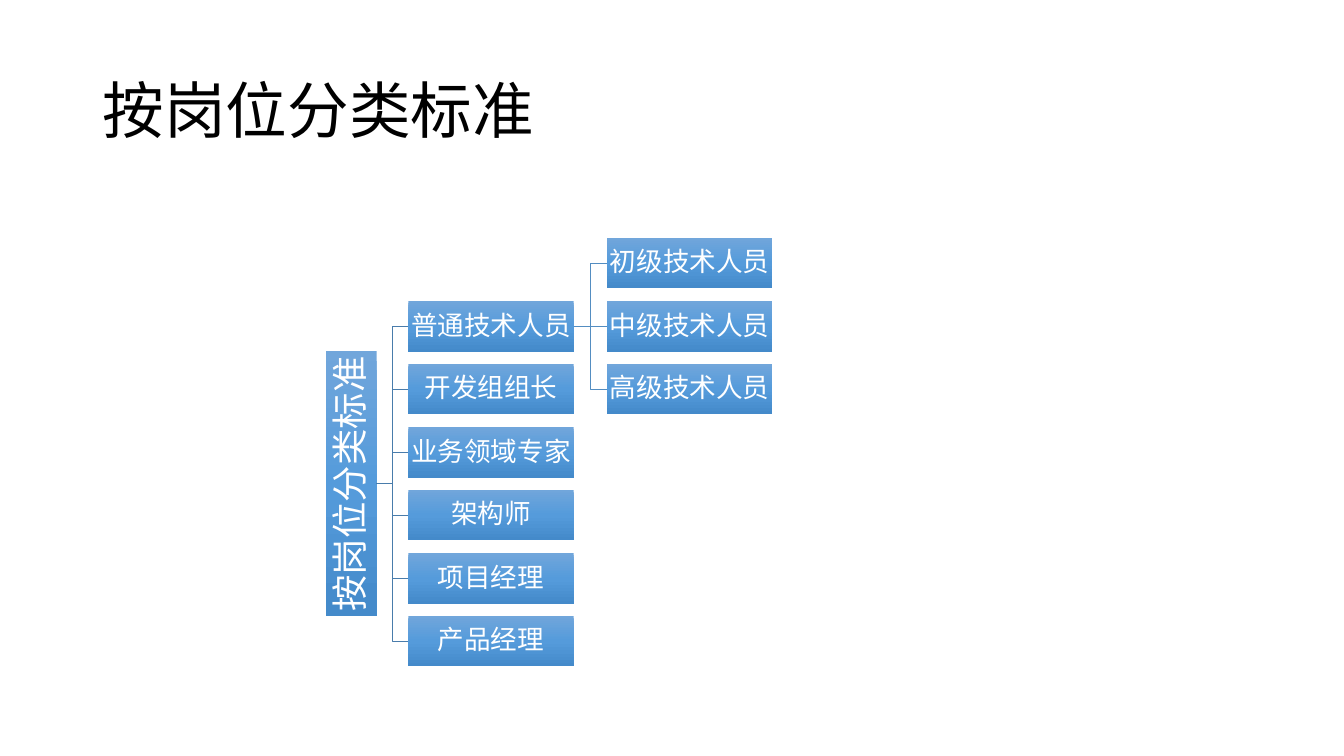
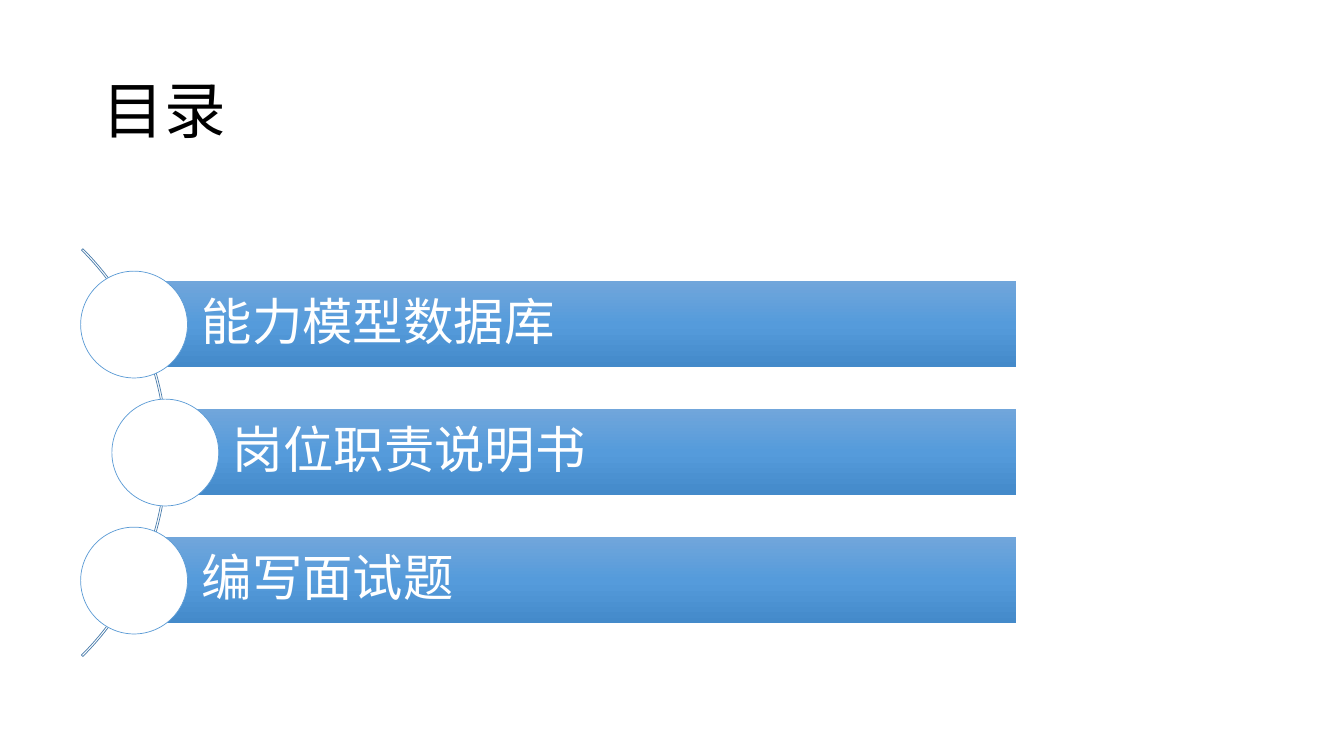
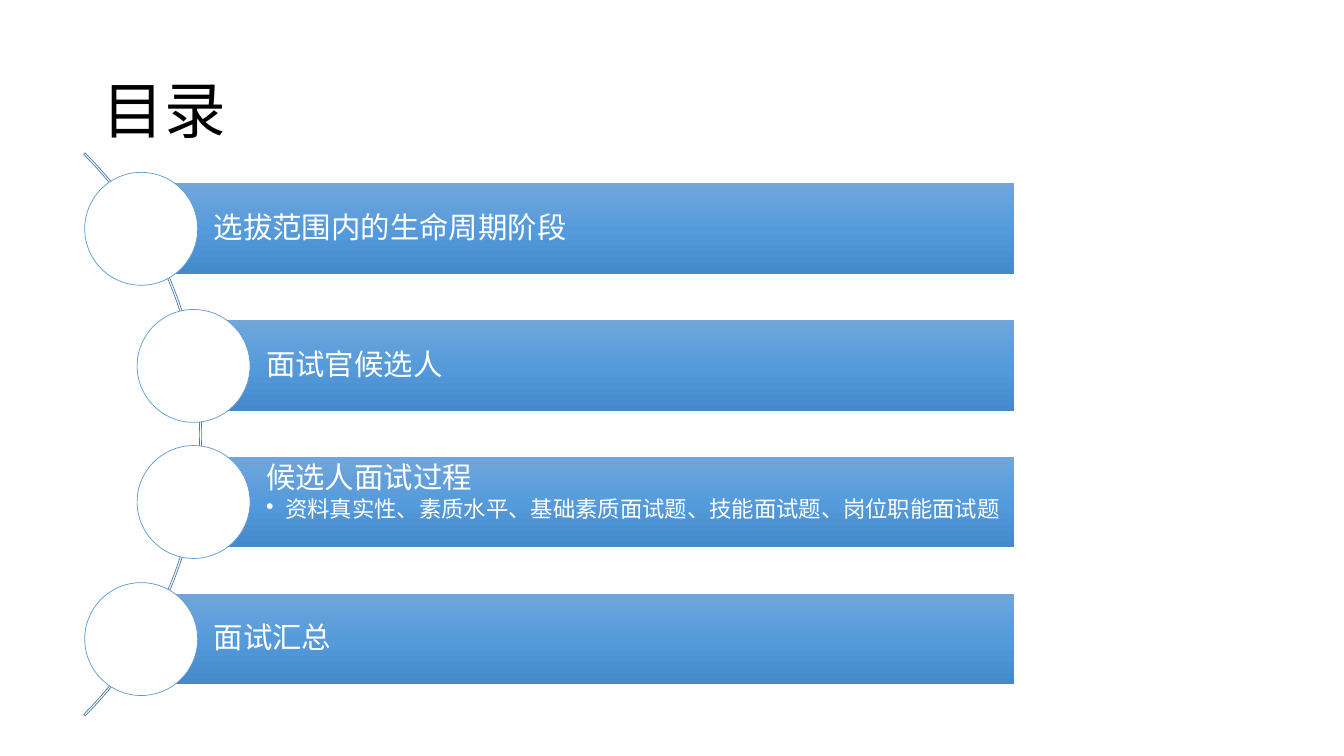
from copy import deepcopy
from dataclasses import dataclass
from typing import Any

from lxml.etree import SubElement
from pptx import Presentation
from pptx.dml.color import RGBColor
from pptx.enum.shapes import MSO_CONNECTOR as Link, MSO_SHAPE as Preset
from pptx.enum.text import MSO_ANCHOR as Anchor, PP_ALIGN as Align
from pptx.oxml.ns import qn
from pptx.util import Emu, Pt

PX = 9144
FONT = "Noto Sans CJK SC"
BLACK = "000000"
WHITE = "FFFFFF"
RING = "5B9BD5"
TRUNK = "497CAB"
BRANCH = "538DC1"
GRADIENT = [(0, "71A6DB"), (0.5, "559BDB"), (1, "448ACA")]
SIDES = ("left", "top", "right", "bottom")
ARC_START, ARC_END, ARC_DEPTH = 315, 45, 2

NODE_WIDTH, NODE_HEIGHT = 164, 50
ROOT_LEFT, ROOT_WIDTH, ROOT_MIDDLE = 323, 263, 480
ROLE_LEFT, GRADE_LEFT = 405, 602
ROLES = ["普通技术人员", "开发组组长", "业务领域专家", "架构师", "项目经理", "产品经理"]
GRADES = ["初级技术人员", "中级技术人员", "高级技术人员"]


@dataclass(frozen=True)
class Box:
    left: int
    top: int
    width: int
    height: int


@dataclass(frozen=True)
class Line:
    text: str
    size: int
    color: str = WHITE
    align: Any = Align.LEFT
    bullet: bool = False


@dataclass(frozen=True)
class Item:
    left: int
    text: str
    detail: str = ""


@dataclass(frozen=True)
class Agenda:
    arc: Box
    first: int
    last: int
    right: int
    height: int
    size: int
    insets: tuple[int, int, int, int]
    items: list[Item]


def px(length: float) -> Emu:
    return Emu(round(length * PX))


def color(code: str) -> RGBColor:
    return RGBColor.from_string(code)


def apply(target: Any, values: dict[str, Any]) -> None:
    for name, value in values.items():
        setattr(target, name, value)


def place(box: Box) -> list[Emu]:
    return [px(side) for side in (box.left, box.top, box.width, box.height)]


def write(shape: Any, lines: list[Line], insets: tuple[int, int, int, int],
          anchor: Any = Anchor.MIDDLE) -> None:
    frame = shape.text_frame
    apply(frame, {"word_wrap": True, "vertical_anchor": anchor})
    apply(frame, {f"margin_{side}": px(inset) for side, inset in zip(SIDES, insets)})
    for index, line in enumerate(lines):
        para = frame.add_paragraph() if index else frame.paragraphs[0]
        if line.bullet:
            para.level = 1
            settings = para._p.get_or_add_pPr()
            settings.set("marL", str(px(19)))
            settings.set("indent", str(px(-19)))
            SubElement(settings, qn("a:buChar")).set("char", "•")
        apply(para, {"alignment": line.align, "line_spacing": 0.9})
        if index < len(lines) - 1:
            para.space_after = Pt(3)
        span = para.add_run()
        span.text = line.text
        apply(span.font, {"name": FONT, "size": Pt(line.size)})
        span.font.color.rgb = color(line.color)
        SubElement(span._r.get_or_add_rPr(), qn("a:ea")).set("typeface", FONT)


def add_page(deck: Any, title: str) -> Any:
    page = deck.slides.add_slide(deck.slide_layouts[6])
    heading = page.shapes.add_textbox(*place(Box(92, 40, 1150, 145)))
    write(heading, [Line(title, 44, BLACK)], (10, 5, 10, 5))
    return page


def add_bar(page: Any, box: Box) -> Any:
    bar = page.shapes.add_shape(Preset.RECTANGLE, *place(box))
    bar.shadow.inherit = False
    bar.line.fill.background()
    bar.fill.gradient()
    bar.fill.gradient_angle = 270
    gradient = bar.element.spPr.find(qn("a:gradFill"))
    gradient.set("rotWithShape", "0")
    stops = gradient.find(qn("a:gsLst"))
    stops.append(deepcopy(stops[0]))
    for stop, (position, code) in zip(bar.fill.gradient_stops, GRADIENT):
        stop.position = position
        stop.color.rgb = color(code)
    return bar


def add_outline(page: Any, preset: Any, box: Box, stroke: str) -> Any:
    shape = page.shapes.add_shape(preset, *place(box))
    shape.shadow.inherit = False
    shape.line.color.rgb = color(stroke)
    shape.line.width = Pt(0.5)
    return shape


def add_node(page: Any, box: Box, text: str, size: int, inset: int) -> Any:
    node = add_bar(page, box)
    write(node, [Line(text, size, align=Align.CENTER)], (inset,) * 4)
    return node


def add_link(page: Any, start: tuple[int, int], end: tuple[int, int], stroke: str) -> Any:
    kind = Link.STRAIGHT if start[1] == end[1] else Link.ELBOW
    link = page.shapes.add_connector(kind, *[px(value) for value in start + end])
    link.line.color.rgb = color(stroke)
    link.line.width = Pt(0.5)
    SubElement(link.element.spPr, qn("a:effectLst"))
    return link


def row_top(row: int) -> int:
    return (473 + 125 * row) // 2


def add_column(page: Any, left: int, first_row: int, labels: list[str],
               start: tuple[int, int], stroke: str) -> tuple[list[Any], list[Any]]:
    nodes, links = [], []
    for row, label in enumerate(labels, first_row):
        top = row_top(row)
        links.append(add_link(page, start, (left, top + NODE_HEIGHT // 2), stroke))
        nodes.append(add_node(page, Box(left, top, NODE_WIDTH, NODE_HEIGHT), label, 19, 1))
    return nodes, links


def add_tree(deck: Any) -> None:
    page = add_page(deck, "按岗位分类标准")
    root_center = ROOT_LEFT + NODE_HEIGHT // 2
    root_box = Box(root_center - ROOT_WIDTH // 2, ROOT_MIDDLE - NODE_HEIGHT // 2,
                   ROOT_WIDTH, NODE_HEIGHT)
    root = add_node(page, root_box, "按岗位分类标准", 26, 2)
    root.rotation = 270
    roles, _ = add_column(page, ROLE_LEFT, 1, ROLES,
                          (ROOT_LEFT + NODE_HEIGHT, ROOT_MIDDLE), TRUNK)
    fork = (ROLE_LEFT + NODE_WIDTH, row_top(1) + NODE_HEIGHT // 2)
    grades, links = add_column(page, GRADE_LEFT, 0, GRADES, fork, BRANCH)
    links[1].begin_connect(roles[0], 3)
    links[1].end_connect(grades[1], 1)


def add_agenda(deck: Any, agenda: Agenda) -> None:
    page = add_page(deck, "目录")
    arc = add_outline(page, Preset.BLOCK_ARC, agenda.arc, TRUNK)
    arc.fill.background()
    adjustments = (ARC_START * 0.6, ARC_END * 0.6, ARC_DEPTH / agenda.arc.width)
    for index, value in enumerate(adjustments):
        arc.adjustments[index] = value
    step = (agenda.last - agenda.first) / (len(agenda.items) - 1)
    diameter = agenda.height * 5 // 4
    for index, item in enumerate(agenda.items):
        top = round(agenda.first + step * index)
        bar = add_bar(page, Box(item.left, top, agenda.right - item.left, agenda.height))
        lines = [Line(item.text, agenda.size)]
        if item.detail:
            lines.append(Line(item.detail, 16, bullet=True))
        write(bar, lines, agenda.insets, Anchor.TOP if item.detail else Anchor.MIDDLE)
        circle_box = Box(item.left - diameter // 2, top - (diameter - agenda.height) // 2,
                         diameter, diameter)
        circle = add_outline(page, Preset.OVAL, circle_box, RING)
        circle.fill.solid()
        circle.fill.fore_color.rgb = color(WHITE)


AGENDAS = [
    Agenda(Box(-406, 163, 572, 572), 279, 533, 1008, 85, 36, (67, 10, 10, 10), [
        Item(133, "能力模型数据库"),
        Item(164, "岗位职责说明书"),
        Item(133, "编写面试题"),
    ]),
    Agenda(Box(-590, 36, 790, 790), 182, 589, 1006, 90, 21, (72, 6, 6, 6), [
        Item(140, "选拔范围内的生命周期阶段"),
        Item(192, "面试官候选人"),
        Item(192, "候选人面试过程",
             "资料真实性、素质水平、基础素质面试题、技能面试题、岗位职能面试题"),
        Item(140, "面试汇总"),
    ]),
]


def main() -> None:
    deck = Presentation()
    apply(deck, {"slide_width": px(1333), "slide_height": px(750)})
    add_tree(deck)
    for agenda in AGENDAS:
        add_agenda(deck, agenda)
    deck.save("out.pptx")


if __name__ == "__main__":
    main()
